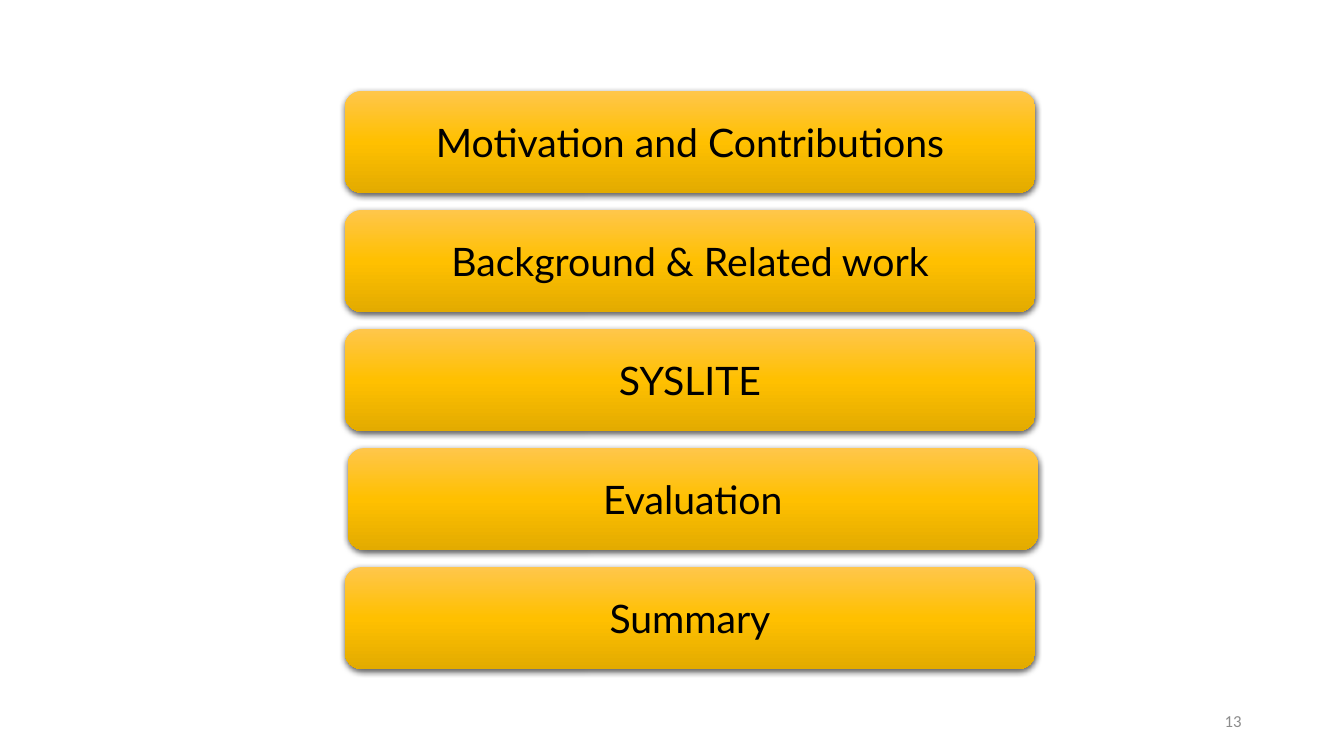
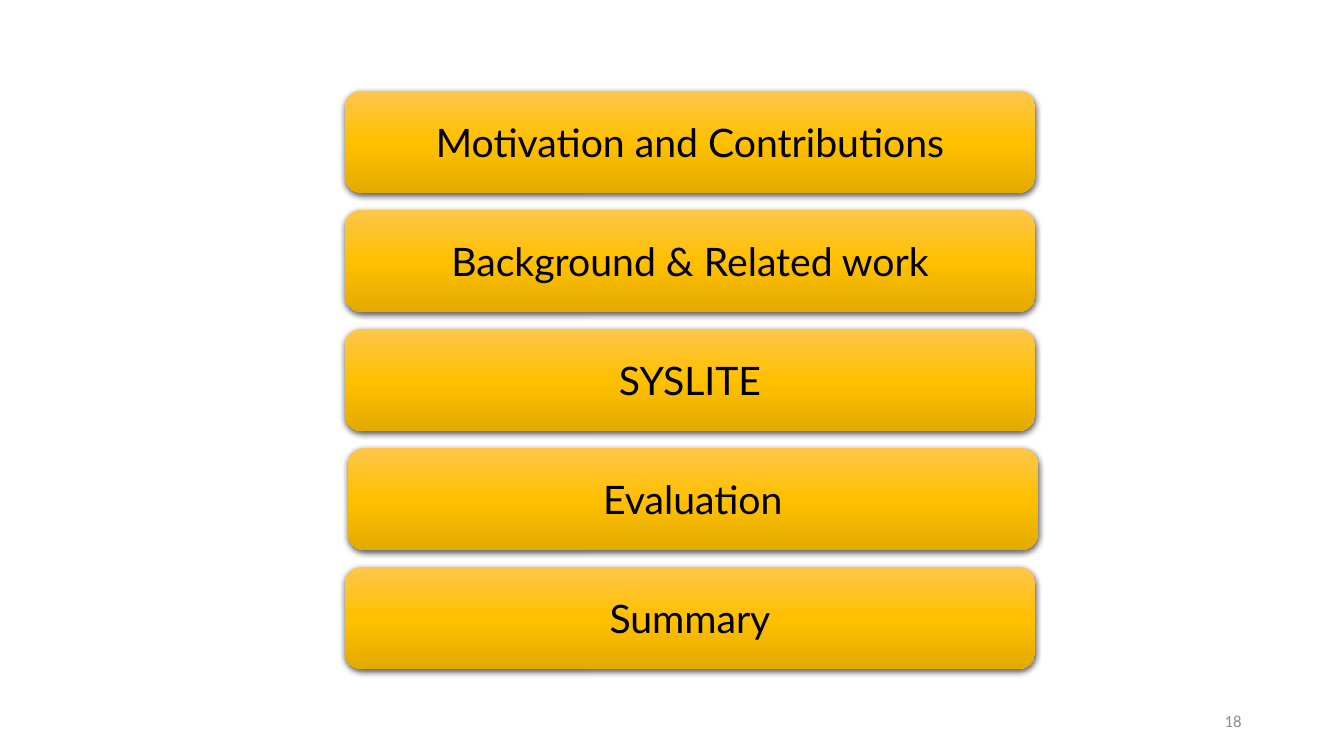
import copy

import pptx
import pptx.dml.color
import pptx.enum.shapes
import pptx.enum.text
import pptx.oxml
import pptx.oxml.ns
import pptx.util

Cm = pptx.util.Cm
Pt = pptx.util.Pt
RGBColor = pptx.dml.color.RGBColor

# Colours
BLACK = RGBColor(0x00, 0x00, 0x00)
GREY = RGBColor(0x8C, 0x8C, 0x8C)
LIGHT_AMBER = RGBColor(0xFF, 0xC6, 0x4B)
AMBER = RGBColor(0xFF, 0xC0, 0x00)
DARK_AMBER = RGBColor(0xE3, 0xAB, 0x00)

# Agenda: each topic with its sideways shift in centimetres
TOPICS = [
    ("Motivation and Contributions", 0),
    ("Background & Related work", 0),
    ("SYSLITE", 0),
    ("Evaluation", 0.07),
    ("Summary", 0),
]
SLIDE_NUMBERS = [13, 18]


class AgendaDeck:
    """Holds the shared style and the current slide."""

    gradient = [(0, LIGHT_AMBER), (0.5, AMBER), (1, DARK_AMBER)]
    bar_left, bar_top = 8.69, 2.29
    bar_width, bar_height, bar_pitch = 17.4, 2.57, 3.0

    def __init__(self):
        self.presentation = pptx.Presentation()
        self.presentation.slide_width = Cm(33.87)
        self.presentation.slide_height = Cm(19.05)
        self.slide = None

    def new_slide(self):
        blank_layout = self.presentation.slide_layouts[6]
        self.slide = self.presentation.slides.add_slide(blank_layout)

    def set_text(self, shape, text, font_name, size, color, alignment):
        frame = shape.text_frame
        frame.text = text
        frame.word_wrap = True
        frame.vertical_anchor = pptx.enum.text.MSO_ANCHOR.MIDDLE
        paragraph = frame.paragraphs[0]
        paragraph.alignment = alignment
        font = paragraph.runs[0].font
        font.name = font_name
        font.size = Pt(size)
        font.color.rgb = color

    def fill_gradient(self, shape):
        shape.fill.gradient()
        shape.fill.gradient_angle = 270
        # The default gradient has two stops; a third is added
        stop_list = shape.element.spPr.find(".//" + pptx.oxml.ns.qn("a:gsLst"))
        stop_list.append(copy.deepcopy(stop_list[0]))
        for stop, (position, color) in zip(shape.fill.gradient_stops, self.gradient):
            stop.position = position
            stop.color.rgb = color

    def add_shadow(self, shape):
        shape.shadow.inherit = False
        effects = shape.element.spPr.find(pptx.oxml.ns.qn("a:effectLst"))
        effects.append(pptx.oxml.parse_xml(
            f'<a:outerShdw {pptx.oxml.ns.nsdecls("a")} blurRad="{Pt(4.5)}" '
            f'dist="{Pt(1.5)}" dir="5400000" algn="ctr" rotWithShape="0">'
            f'<a:srgbClr val="{BLACK}"><a:alpha val="63000"/></a:srgbClr>'
            '</a:outerShdw>'))

    def topic_bar(self, row, topic, shift):
        bar = self.slide.shapes.add_shape(
            pptx.enum.shapes.MSO_SHAPE.ROUNDED_RECTANGLE,
            Cm(self.bar_left + shift), Cm(self.bar_top + row * self.bar_pitch),
            Cm(self.bar_width), Cm(self.bar_height))
        self.fill_gradient(bar)
        bar.line.fill.background()
        self.add_shadow(bar)
        self.set_text(bar, topic, "Lato", 28, BLACK,
                      pptx.enum.text.PP_ALIGN.CENTER)

    def slide_number(self, number):
        box = self.slide.shapes.add_textbox(Cm(23.92), Cm(17.66), Cm(7.62), Cm(1.01))
        self.set_text(box, str(number), "Calibri", 12, GREY,
                      pptx.enum.text.PP_ALIGN.RIGHT)


def main():
    deck = AgendaDeck()
    # The same agenda on every slide, under its own number
    for number in SLIDE_NUMBERS:
        deck.new_slide()
        deck.slide_number(number)
        for row, (topic, shift) in enumerate(TOPICS):
            deck.topic_bar(row, topic, shift)
    deck.presentation.save("out.pptx")


if __name__ == "__main__":
    main()
